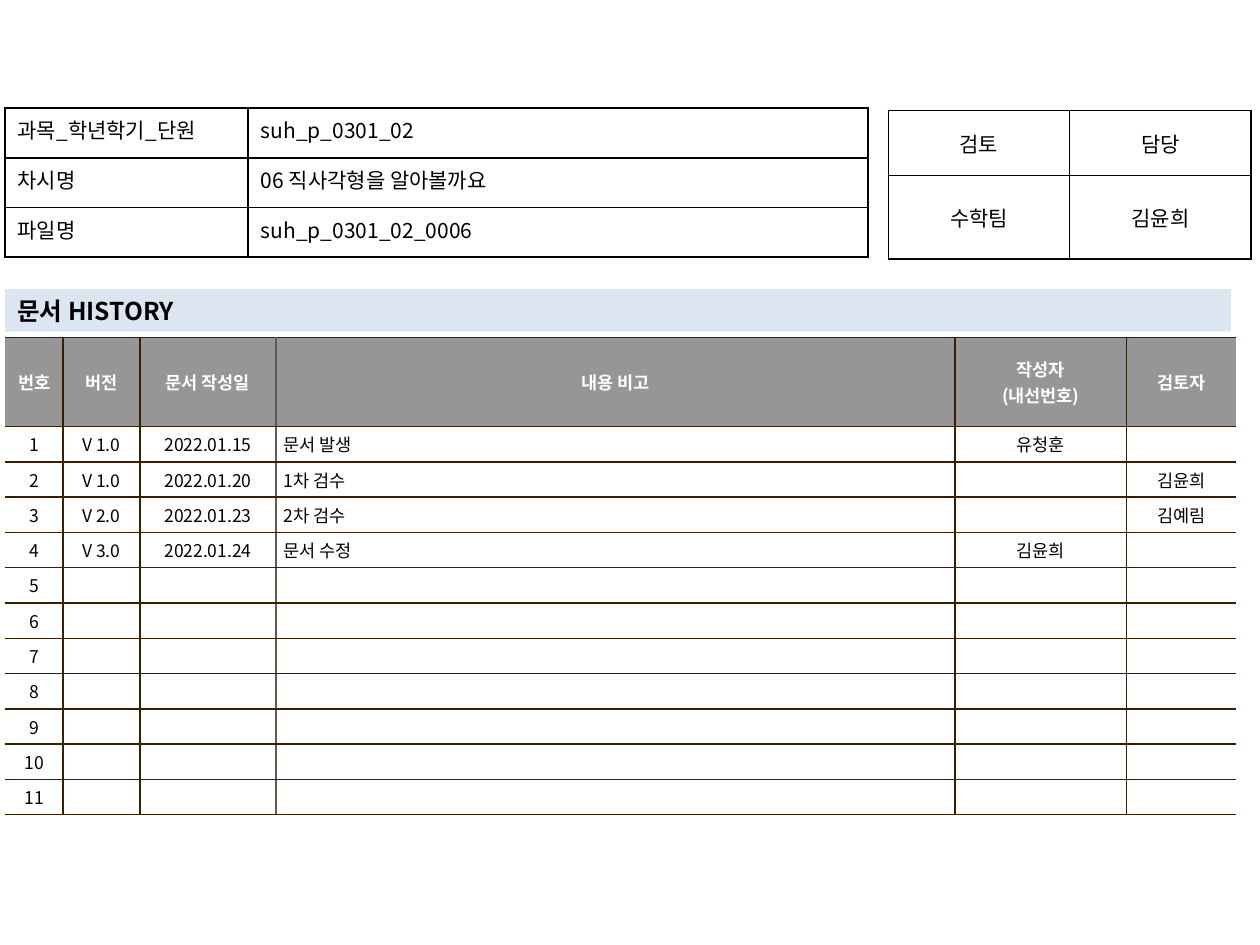
from dataclasses import dataclass

from lxml import etree
from pptx import Presentation
from pptx import util as u
from pptx.dml.color import RGBColor
from pptx.enum import shapes, text
from pptx.oxml import ns

BLACK = RGBColor(0x00, 0x00, 0x00)
WHITE = RGBColor(0xFF, 0xFF, 0xFF)
GRAY = RGBColor(0x96, 0x96, 0x96)
PALE_BLUE = RGBColor(0xDC, 0xE6, 0xF2)
BROWN = RGBColor(0x36, 0x20, 0x00)
TAUPE = RGBColor(0x64, 0x5B, 0x4C)

FONT = "Noto Sans CJK KR"
WIDTH, HEIGHT = u.Inches(10), u.Inches(7.5)
LEFT, CENTER, JUSTIFY = (text.PP_ALIGN.LEFT, text.PP_ALIGN.CENTER,
                         text.PP_ALIGN.JUSTIFY)
TOP, MIDDLE = text.MSO_ANCHOR.TOP, text.MSO_ANCHOR.MIDDLE


@dataclass
class TableSpec:
    """Positions, columns and rows are percentages of the slide's size."""
    left: float
    top: float
    columns: list[float]
    rows: list[float]
    cells: list[list[str]]
    aligns: list
    anchor: int
    size: int
    margins: tuple[float, float]
    line: RGBColor = BLACK
    history: bool = False


def across(percent: float) -> int:
    return round(WIDTH * percent / 100)


def down(percent: float) -> int:
    return round(HEIGHT * percent / 100)


def write(frame, content: str, align, size: int, color: RGBColor, bold: bool) -> None:
    for index, line in enumerate(content.split("\n")):
        paragraph = frame.paragraphs[0] if index == 0 else frame.add_paragraph()
        paragraph.alignment = align
        if not line:
            # An empty cell keeps the row height of its neighbours
            paragraph._p.get_or_add_endParaRPr().set("sz", str(size * 100))
            continue
        run = paragraph.add_run()
        run.text = line
        for name, value in {"name": FONT, "size": u.Pt(size), "bold": bold}.items():
            setattr(run.font, name, value)
        run.font.color.rgb = color
        east_asian = etree.SubElement(run.font._element, ns.qn("a:ea"))
        east_asian.set("typeface", FONT)


def set_border(cell, side: str, color: RGBColor | None) -> None:
    line = etree.SubElement(cell._tc.get_or_add_tcPr(), ns.qn(f"a:ln{side}"),
                            w=str(u.Pt(1)))
    if color is None:
        etree.SubElement(line, ns.qn("a:noFill"))
    else:
        fill = etree.SubElement(line, ns.qn("a:solidFill"))
        etree.SubElement(fill, ns.qn("a:srgbClr"), val=str(color))


def border_colors(spec: TableSpec, column: int) -> dict[str, RGBColor | None]:
    colors = dict.fromkeys("LRTB", spec.line)
    if spec.history:
        # Open outer sides, and a lighter line before the notes column
        edges = [None, BROWN, BROWN, TAUPE, BROWN, BROWN, None]
        colors["L"], colors["R"] = edges[column], edges[column + 1]
    return colors


def draw_table(slide, spec: TableSpec) -> None:
    table = slide.shapes.add_table(
        len(spec.rows), len(spec.columns), across(spec.left), down(spec.top),
        across(sum(spec.columns)), down(sum(spec.rows))).table
    table.first_row = table.horz_banding = False
    for column, width in zip(table.columns, spec.columns):
        column.width = across(width)
    for row, height in zip(table.rows, spec.rows):
        row.height = down(height)

    side, end = (u.Inches(margin) for margin in spec.margins)
    layout = {"vertical_anchor": spec.anchor, "margin_left": side,
              "margin_right": side, "margin_top": end, "margin_bottom": end}
    for row, contents in enumerate(spec.cells):
        heading = spec.history and row == 0
        for column, content in enumerate(contents):
            cell = table.cell(row, column)
            for name, value in layout.items():
                setattr(cell, name, value)
            for edge, color in border_colors(spec, column).items():
                set_border(cell, edge, color)
            if spec.history:
                cell.fill.solid()
                cell.fill.fore_color.rgb = GRAY if heading else WHITE
            else:
                cell.fill.background()
            write(cell.text_frame, content,
                  CENTER if heading else spec.aligns[column],
                  spec.size, WHITE if heading else BLACK, heading)


def draw_band(slide, content: str) -> None:
    band = slide.shapes.add_shape(shapes.MSO_SHAPE.RECTANGLE, across(0.4), down(30.6),
                                  across(97.3), down(4.5))
    band.shadow.inherit = False
    band.fill.solid()
    band.fill.fore_color.rgb = PALE_BLUE
    band.line.fill.background()
    band.text_frame.word_wrap = True
    band.text_frame.vertical_anchor = MIDDLE
    write(band.text_frame, content, LEFT, 14, BLACK, True)


# History entries; the remaining numbered rows stay empty
HEADINGS = ["번호", "버전", "문서 작성일", "내용 비고", "작성자\n(내선번호)", "검토자"]
ENTRIES = [
    ["V 1.0", "2022.01.15", "문서 발생", "유청훈", ""],
    ["V 1.0", "2022.01.20", "1차 검수", "", "김윤희"],
    ["V 2.0", "2022.01.23", "2차 검수", "", "김예림"],
    ["V 3.0", "2022.01.24", "문서 수정", "김윤희", ""],
]
ROW_COUNT = 11
ENTRIES += [[""] * 5 for _ in range(ROW_COUNT - len(ENTRIES))]

HISTORY = TableSpec(
    left=0.4, top=35.7, columns=[4.6, 6.1, 10.8, 53.9, 13.6, 8.7],
    rows=[9.45] + [3.72] * ROW_COUNT,
    cells=[HEADINGS] + [[str(number), *entry]
                        for number, entry in enumerate(ENTRIES, 1)],
    aligns=[CENTER, CENTER, CENTER, LEFT, CENTER, CENTER],
    anchor=MIDDLE, size=10, margins=(0.06, 0.04), line=BROWN, history=True)

APPROVAL = TableSpec(
    left=70.5, top=11.7, columns=[14.4] * 2, rows=[6.9, 8.8],
    cells=[["검토", "담당"], ["수학팀", "김윤희"]],
    aligns=[CENTER, CENTER], anchor=MIDDLE, size=12, margins=(0.1, 0.05))

DOCUMENT = TableSpec(
    left=0.4, top=11.45, columns=[19.3, 49.2], rows=[5.25] * 3,
    cells=[["과목_학년학기_단원", "suh_p_0301_02"],
           ["차시명", "06 직사각형을 알아볼까요"],
           ["파일명", "suh_p_0301_02_0006"]],
    aligns=[JUSTIFY, LEFT], anchor=TOP, size=12, margins=(0.1, 0.05))


def main() -> None:
    presentation = Presentation()
    presentation.slide_width, presentation.slide_height = WIDTH, HEIGHT
    slide = presentation.slides.add_slide(presentation.slide_layouts[6])
    draw_table(slide, HISTORY)
    draw_table(slide, APPROVAL)
    draw_band(slide, "문서 HISTORY")
    draw_table(slide, DOCUMENT)
    presentation.save("out.pptx")


if __name__ == "__main__":
    main()
